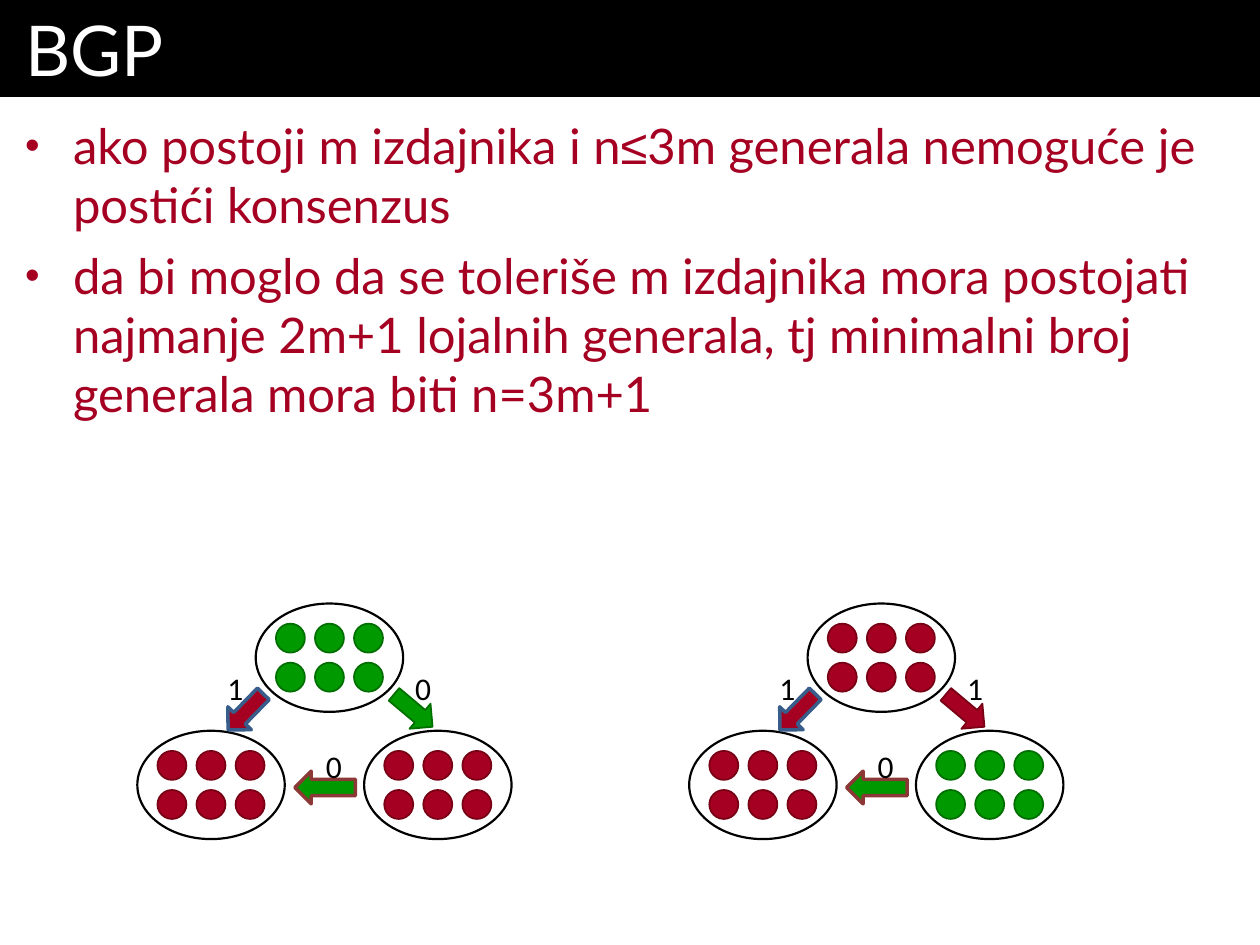
from lxml import etree
from pptx import Presentation
from pptx.dml.color import RGBColor
from pptx.enum.shapes import MSO_SHAPE as Preset
from pptx.enum.text import MSO_ANCHOR as Anchor, PP_ALIGN as Align
from pptx.oxml.ns import qn
from pptx.util import Inches, Pt

BLACK, WHITE = "000000", "FFFFFF"
RED, DARK_RED = "A50021", "780015"
GREEN, DARK_GREEN = "009900", "006F00"
BLUE_EDGE, BROWN_EDGE = "385D8A", "8C3836"


def color(value):
    return RGBColor.from_string(value)


def add_figure(preset, left, top, width, height, fill, edge, edge_width):
    shape = slide.shapes.add_shape(
        preset, Inches(left), Inches(top), Inches(width), Inches(height))
    shape.shadow.inherit = False
    if fill:
        shape.fill.solid()
        shape.fill.fore_color.rgb = color(fill)
    else:
        shape.fill.background()
    shape.line.color.rgb = color(edge)
    shape.line.width = Pt(edge_width)
    return shape


presentation = Presentation()
presentation.slide_width = Inches(10)
presentation.slide_height = Inches(7.5)
slide = presentation.slides.add_slide(presentation.slide_layouts[5])

title_height = 0.77
title = slide.shapes.title
title.left, title.top = Inches(0), Inches(0)
title.width, title.height = Inches(10), Inches(title_height)
title.fill.solid()
title.fill.fore_color.rgb = color(BLACK)
frame = title.text_frame
frame.margin_left = frame.margin_right = Inches(0.2)
frame.margin_top = frame.margin_bottom = Inches(0.05)
frame.vertical_anchor = Anchor.MIDDLE
frame.text = "BGP"
paragraph = frame.paragraphs[0]
paragraph.alignment = Align.LEFT
paragraph.font.name = "Lato"
paragraph.font.size = Pt(40)
paragraph.font.color.rgb = color(WHITE)

body = slide.shapes.add_textbox(
    Inches(0), Inches(title_height), Inches(10), Inches(7.5 - title_height))
frame = body.text_frame
frame.word_wrap = True
frame.margin_left = frame.margin_right = Inches(0.2)
frame.margin_top = frame.margin_bottom = Inches(0.15)
statements = [
    [("ako postoji m izdajnika i n", "Lato"), ("≤", "Arial"),
     ("3m generala nemoguće je postići konsenzus", "Lato")],
    [("da bi moglo da se toleriše m izdajnika mora postojati najmanje 2m+1 "
      "lojalnih generala, tj minimalni broj generala mora biti n=3m+1", "Lato")],
]
for index, runs in enumerate(statements):
    paragraph = frame.add_paragraph() if index else frame.paragraphs[0]
    paragraph.space_before = Pt(7 if index else 0)
    properties = paragraph._p.get_or_add_pPr()
    properties.set("marL", str(Inches(0.38)))
    properties.set("indent", str(-Inches(0.38)))
    bullet_color = etree.SubElement(properties, qn("a:buClr"))
    etree.SubElement(bullet_color, qn("a:srgbClr"), val=RED)
    etree.SubElement(properties, qn("a:buSzPct"), val="85000")
    etree.SubElement(properties, qn("a:buFont"), typeface="Arial")
    etree.SubElement(properties, qn("a:buChar"), char="•")
    paragraph.font.size = Pt(28)
    paragraph.font.color.rgb = color(RED)
    for text, font_name in runs:
        run = paragraph.add_run()
        run.text = text
        run.font.name = font_name

army_width, army_height = 1.17, 0.86
soldier_size, soldier_pitch = 0.23, 0.31
soldier_columns, soldier_rows = 3, 2
margin_x = (army_width - soldier_size - (soldier_columns - 1) * soldier_pitch) / 2
margin_y = (army_height - soldier_size - (soldier_rows - 1) * soldier_pitch) / 2

commander_place, right_place, left_place = (2.03, 4.79), (2.89, 5.8), (1.09, 5.8)
loyal, traitor = (RED, DARK_RED), (GREEN, DARK_GREEN)
commander_is_traitor = {
    "offset": 0,
    "armies": [(commander_place, traitor), (right_place, loyal), (left_place, loyal)],
    "order_to_right": (traitor, "0"),
}
right_general_is_traitor = {
    "offset": 4.38,
    "armies": [(commander_place, loyal), (right_place, traitor), (left_place, loyal)],
    "order_to_right": (loyal, "1"),
}

for scenario in (commander_is_traitor, right_general_is_traitor):
    offset = scenario["offset"]
    for (left, top), (fill, edge) in scenario["armies"]:
        for row in range(soldier_rows):
            for column in range(soldier_columns):
                add_figure(Preset.OVAL,
                           offset + left + margin_x + column * soldier_pitch,
                           top + margin_y + row * soldier_pitch,
                           soldier_size, soldier_size, fill, edge, 1)
        add_figure(Preset.OVAL, offset + left, top, army_width, army_height,
                   None, BLACK, 1.25)

    (order_fill, order_edge), order_value = scenario["order_to_right"]
    messages = [
        ((3.08, 5.51), 0.4, 40, order_fill, order_edge, 1, (3.13, 5.26), order_value),
        ((1.75, 5.52), 0.4, 134.3, RED, BLUE_EDGE, 2, (1.64, 5.26), "1"),
        ((2.34, 6.12), 0.48, 180, GREEN, BROWN_EDGE, 2, (2.42, 5.88), "0"),
    ]
    for arrow_place, length, angle, fill, edge, edge_width, label_place, value in messages:
        left, top = arrow_place
        arrow = add_figure(Preset.RIGHT_ARROW, offset + left, top, length, 0.26,
                           fill, edge, edge_width)
        arrow.rotation = angle

        left, top = label_place
        label = slide.shapes.add_textbox(
            Inches(offset + left), Inches(top), Inches(0.39), Inches(0.4))
        label.text_frame.word_wrap = True
        label.text_frame.text = value
        paragraph = label.text_frame.paragraphs[0]
        paragraph.alignment = Align.RIGHT
        paragraph.font.name = "Calibri"
        paragraph.font.size = Pt(18)
        paragraph.font.color.rgb = color(BLACK)

presentation.save("out.pptx")
